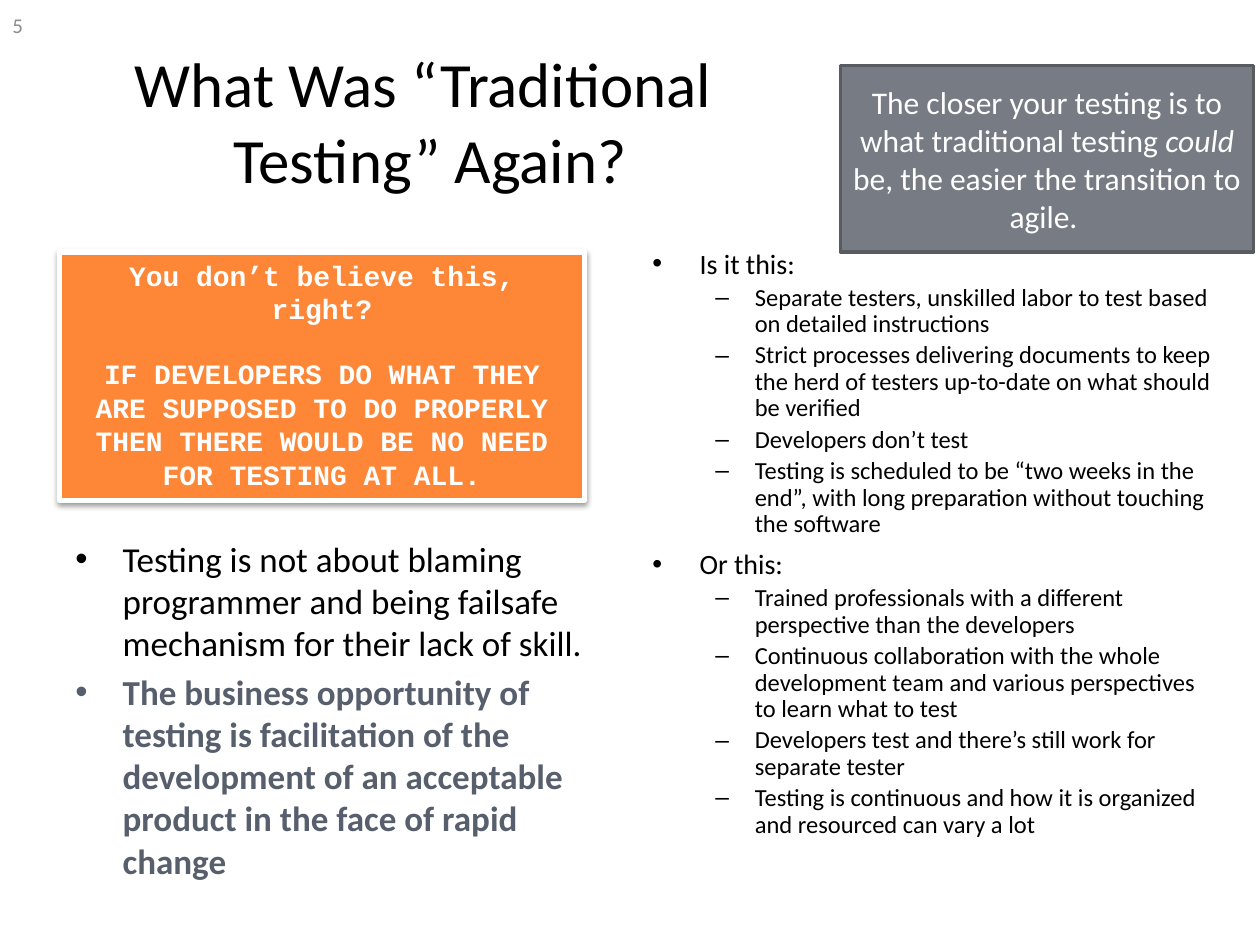
from dataclasses import dataclass
from typing import Optional

from lxml.etree import SubElement
from pptx import Presentation
from pptx.dml.color import RGBColor
from pptx.enum.shapes import MSO_SHAPE as Preset
from pptx.enum.text import MSO_ANCHOR as Anchor, PP_ALIGN as Align
from pptx.oxml.ns import qn
from pptx.util import Pt

BLACK = RGBColor(0x00, 0x00, 0x00)
WHITE = RGBColor(0xFF, 0xFF, 0xFF)
SLATE = RGBColor(0x57, 0x5F, 0x6D)
ORANGE = RGBColor(0xFE, 0x86, 0x37)
STEEL = RGBColor(0x77, 0x7C, 0x84)
STEEL_EDGE = RGBColor(0x58, 0x5C, 0x62)
PALE_GRAY = RGBColor(0x8C, 0x8C, 0x8C)


@dataclass(frozen=True)
class Area:
    left: float
    top: float
    width: float
    height: float

    def lengths(self) -> tuple:
        return Pt(self.left), Pt(self.top), Pt(self.width), Pt(self.height)


@dataclass(frozen=True)
class Bullet:
    mark: str
    margin: float
    hang: float


@dataclass(frozen=True)
class Line:
    spans: tuple
    size: float
    color: RGBColor = BLACK
    bold: bool = False
    font: str = "Calibri"
    align: Align = Align.LEFT
    bullet: Optional[Bullet] = None
    spacing: Optional[float] = None
    before: float = 0
    italic_span: Optional[int] = None


@dataclass(frozen=True)
class Panel:
    area: Area
    fill: RGBColor
    edge: RGBColor
    edge_width: float
    anchor: Anchor
    lines: tuple


DOT = Bullet("•", 27, 27)
DASH = Bullet("–", 58.5, 22.5)


def add_bullet(para, bullet: Bullet) -> None:
    props = para._p.get_or_add_pPr()
    props.set("marL", str(Pt(bullet.margin)))
    props.set("indent", str(-Pt(bullet.hang)))
    SubElement(props, qn("a:buFont"), typeface="Arial")
    SubElement(props, qn("a:buChar"), char=bullet.mark)


def write_lines(frame, lines: tuple, anchor: Anchor) -> None:
    frame.word_wrap = True
    frame.vertical_anchor = anchor
    for index, line in enumerate(lines):
        para = frame.paragraphs[0] if index == 0 else frame.add_paragraph()
        if line.bullet:
            add_bullet(para, line.bullet)
        para.alignment = line.align
        para.space_before = Pt(line.before if index else 0)
        if line.spacing:
            para.line_spacing = line.spacing
        if len(line.spans) == 1:
            para.text = line.spans[0]
        else:
            for text in line.spans:
                para.add_run().text = text
        for number, span in enumerate(para.runs):
            span.font.name = line.font
            span.font.size = Pt(line.size)
            span.font.bold = line.bold
            span.font.italic = number == line.italic_span
            span.font.color.rgb = line.color


def add_text(page, area: Area, lines: tuple, anchor: Anchor = Anchor.TOP) -> None:
    box = page.shapes.add_textbox(*area.lengths())
    write_lines(box.text_frame, lines, anchor)


def add_panel(page, panel: Panel):
    box = page.shapes.add_shape(Preset.RECTANGLE, *panel.area.lengths())
    box.shadow.inherit = False
    box.fill.solid()
    box.fill.fore_color.rgb = panel.fill
    box.line.color.rgb = panel.edge
    box.line.width = Pt(panel.edge_width)
    write_lines(box.text_frame, panel.lines, panel.anchor)
    return box


def add_shadow(box) -> None:
    effects = box._element.spPr.find(qn("a:effectLst"))
    shadow = SubElement(effects, qn("a:outerShdw"), blurRad=str(Pt(3.1)),
                        dist=str(Pt(1.6)), dir="5400000", rotWithShape="0")
    color = SubElement(shadow, qn("a:srgbClr"), val=str(BLACK))
    SubElement(color, qn("a:alpha"), val="38000")


def topic(heading: str, *details: str) -> tuple:
    head = Line((heading,), 16, bullet=DOT, spacing=1.1, before=3.2)
    return (head,) + tuple(
        Line((text,), 14, bullet=DASH, spacing=0.9, before=2.8) for text in details)


def shout(text: str, before: float = 0) -> Line:
    return Line((text,), 16, WHITE, True, "Courier New", Align.CENTER, before=before)


TITLE = Line(("What Was “Traditional \vTesting” Again?",), 36, align=Align.CENTER)
ANSWERS = (
    Line(("Testing is not about blaming programmer and being failsafe mechanism "
          "for their lack of skill.",), 20, bullet=DOT),
    Line(("The business opportunity of testing is facilitation of the development "
          "of an acceptable product in the face of rapid change",),
         20, SLATE, True, bullet=DOT, before=4),
)
TOPICS = topic(
    "Is it this:",
    "Separate testers, unskilled labor to test based on detailed instructions",
    "Strict processes delivering documents to keep the herd of testers up-to-date "
    "on what should be verified",
    "Developers don’t test",
    "Testing is scheduled to be “two weeks in the end”, with long preparation "
    "without touching the software",
) + topic(
    "Or this:",
    "Trained professionals with a different perspective than the developers",
    "Continuous collaboration with the whole development team and various "
    "perspectives to learn what to test",
    "Developers test and there’s still work for separate tester",
    "Testing is continuous and how it is organized and resourced can vary a lot",
)
CLAIM = Panel(Area(33.84, 144, 300.24, 141.84), ORANGE, WHITE, 3, Anchor.TOP, (
    shout("You don’t believe this, right?"),
    shout("IF DEVELOPERS DO WHAT THEY ARE SUPPOSED TO DO PROPERLY THEN THERE "
          "WOULD BE NO NEED FOR TESTING AT ALL.", before=18),
))
ADVICE = Panel(Area(480.24, 37.44, 236.16, 106.56), STEEL, STEEL_EDGE, 2, Anchor.MIDDLE, (
    Line(("The closer your testing is to what traditional testing ", "could ",
          "be, the easier the transition to agile. "), 18, WHITE,
         align=Align.CENTER, italic_span=1),
))


def main() -> None:
    deck = Presentation()
    deck.slide_width, deck.slide_height = Pt(720), Pt(540)
    page = deck.slides.add_slide(deck.slide_layouts[6])
    add_text(page, Area(0, 23.76, 491.76, 90), (TITLE,), Anchor.MIDDLE)
    add_text(page, Area(36, 303.84, 318.24, 196.56), ANSWERS)
    add_text(page, Area(365.76, 135.36, 336.24, 356.4), TOPICS)
    add_shadow(add_panel(page, CLAIM))
    add_panel(page, ADVICE)
    add_text(page, Area(0, 0, 168, 28.8), (Line(("5",), 12, PALE_GRAY),), Anchor.MIDDLE)
    deck.save("out.pptx")


if __name__ == "__main__":
    main()
